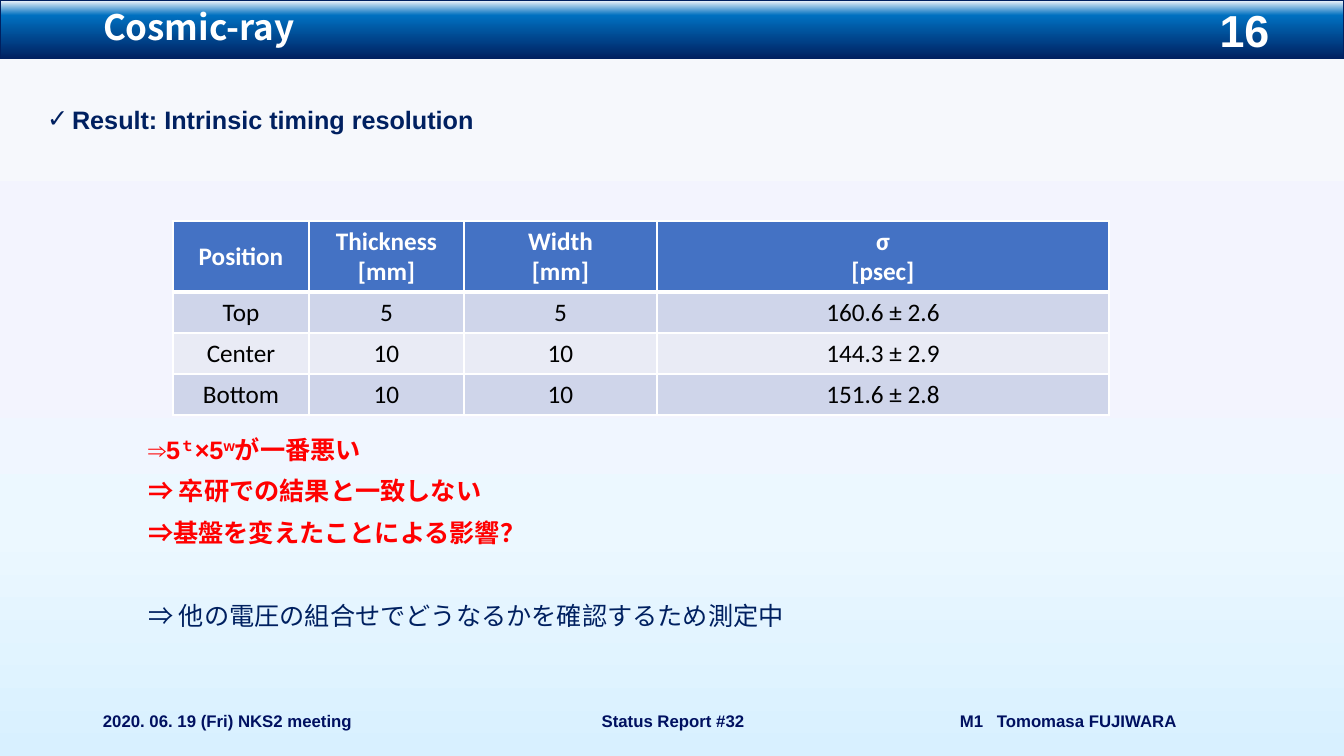
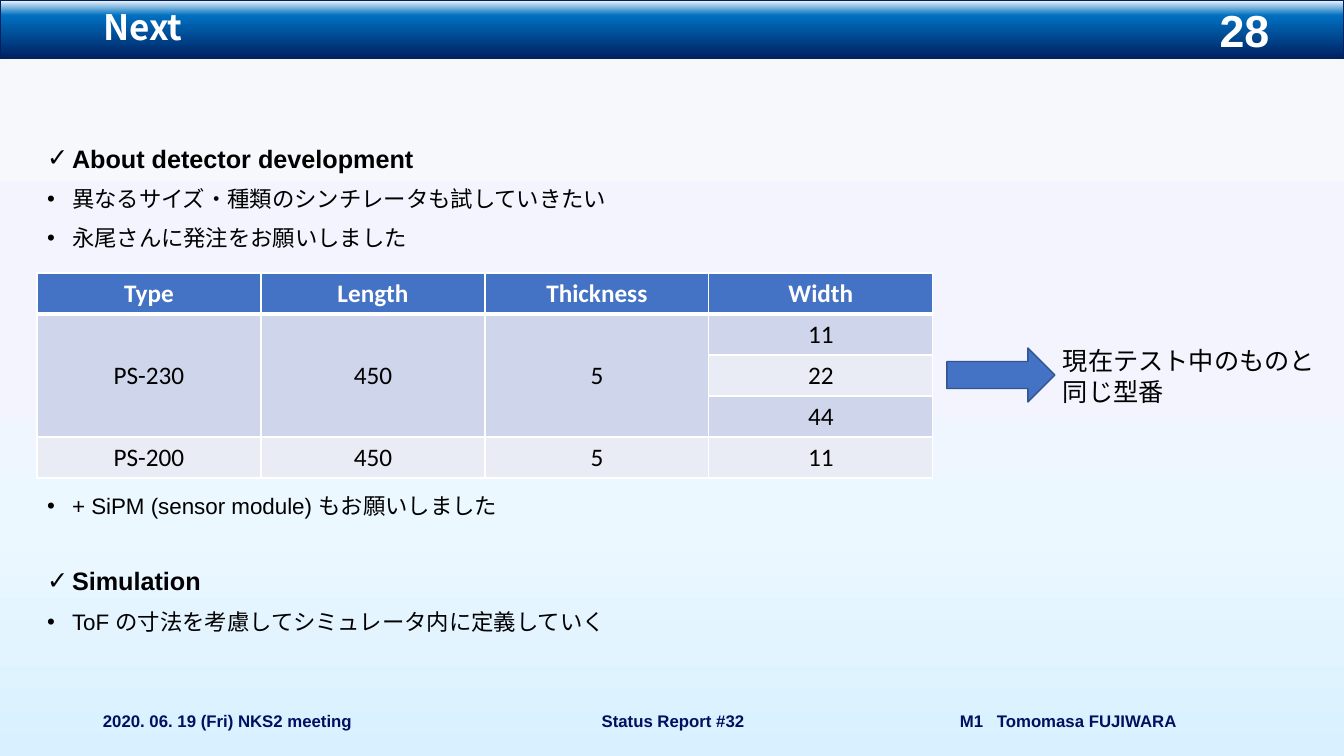
from lxml.etree import SubElement
from pptx import Presentation
from pptx.enum.shapes import MSO_SHAPE
from pptx.enum.text import MSO_ANCHOR, MSO_AUTO_SIZE, PP_ALIGN
from pptx.dml.color import RGBColor
from pptx.oxml.ns import qn
from pptx.util import Pt

PX = 9072  # EMU in one px
NAVY, FOOTER_BLUE, RED, BLACK, WHITE = "002060", "001060", "FF0000", "000000", "FFFFFF"
BLUE, BLUE_EDGE, BANDS = "4472C4", "325491", ("CFD5EA", "E9EBF5")
CJK = "Noto Sans CJK JP"


def paint(fill, *stops):
    """One hex string gives a solid fill; (percent, hex) pairs a vertical gradient."""
    if isinstance(stops[0], str):
        fill.solid()
        fill.fore_color.rgb = RGBColor.from_string(stops[0])
        return
    fill.gradient()
    fill.gradient_angle = 270
    stop_list = fill.gradient_stops[0]._gs.getparent()
    for old in list(stop_list):
        stop_list.remove(old)
    for percent, colour in stops:
        stop = SubElement(stop_list, qn("a:gs"), pos=str(percent * 1000))
        SubElement(stop, qn("a:srgbClr"), val=colour)


def add_run(paragraph, text, size, colour, bold=False, face="Arial", raised=False):
    run = paragraph.add_run()
    run.text = text
    run.font.size, run.font.bold, run.font.name = Pt(size), bold, face
    paint(run.font.fill, colour)
    properties = run.font._element
    SubElement(properties, qn("a:ea"), typeface=CJK)
    if raised:
        properties.set("baseline", "30000")


prs = Presentation()
prs.slide_width, prs.slide_height = 1344 * PX, 756 * PX
paint(prs.slide_master.background.fill,
      (0, "F6F8FC"), (48, "F3F4FE"), (70, "ECF8FF"), (100, "D8F0FF"))

# Shared layout: title place, band and footers
layout = prs.slide_layouts[1]
for holder in list(layout.placeholders):
    if holder.placeholder_format.idx >= 10:
        holder.element.getparent().remove(holder.element)
title_place = layout.placeholders[0]
title_place.left, title_place.top = 93 * PX, 0
title_place.width, title_place.height = 1159 * PX, 59 * PX

cosmic = prs.slides.add_slide(layout)
plans = prs.slides.add_slide(layout)

band = cosmic.shapes.add_shape(MSO_SHAPE.RECTANGLE, 0, 0, 1344 * PX, 59 * PX)
band.shadow.inherit = False
paint(band.fill, (0, "F6F8FC"), (26, "0070C0"), (100, NAVY))
paint(band.line.fill, NAVY)
band.line.width = Pt(0.75)
shared = [band]
for left, width, text, align in [
    (93, 302, "2020. 06. 19 (Fri) NKS2 meeting", PP_ALIGN.LEFT),
    (446, 454, "Status Report #32", PP_ALIGN.CENTER),
    (950, 302, "M1\tTomomasa FUJIWARA", PP_ALIGN.LEFT),
]:
    footer = cosmic.shapes.add_textbox(left * PX, 701 * PX, width * PX, 40 * PX)
    footer.text_frame.word_wrap = True
    footer.text_frame.vertical_anchor = MSO_ANCHOR.MIDDLE
    line = footer.text_frame.paragraphs[0]
    line.alignment = align
    if "\t" in text:
        tabs = SubElement(line._p.get_or_add_pPr(), qn("a:tabLst"))
        SubElement(tabs, qn("a:tab"), pos=str(37 * PX), algn="l")
    add_run(line, text, 12, FOOTER_BLUE, True)
    shared.append(footer)
# The band lies behind the title place, the footers follow it
for position, part in enumerate(shared, 2):
    layout.shapes.element.insert(position, part.element)

# Body lines: bullet, space before, size, colour, bold, text pieces (^ = raised)
cosmic_lines = [
    ("✓", 0, 18, NAVY, True, ["Result: Intrinsic timing resolution"]),
    (None, 216, 18, RED, True, ["⇒5", "^ｔ", "×5", "^w", "が一番悪い"]),
    (None, 9.5, 18, RED, True, ["⇒ 卒研での結果と一致しない"]),
    (None, 9.5, 18, RED, True, ["⇒基盤を変えたことによる影響？"]),
    (None, 39.5, 18, NAVY, False, ["⇒ 他の電圧の組合せでどうなるかを確認するため測定中"]),
]
plans_lines = [
    ("✓", 0, 18, BLACK, True, ["About detector development"]),
    ("•", 10, 16, BLACK, False, ["異なるサイズ・種類のシンチレータも試していきたい"]),
    ("•", 10, 16, BLACK, False, ["永尾さんに発注をお願いしました"]),
    ("•", 173, 16, BLACK, False, ["+ SiPM (sensor module) もお願いしました"]),
    ("✓", 35, 18, BLACK, True, ["Simulation"]),
    ("•", 10, 16, BLACK, False, ["ToF の寸法を考慮してシミュレータ内に定義していく"]),
]

# Title, page number and body of each slide
for slide, heading, page, body_top, lines in [
    (cosmic, "Cosmic-ray", "16", 101, cosmic_lines),
    (plans, "Next", "28", 140, plans_lines),
]:
    title = slide.shapes.title.text_frame
    title.auto_size = MSO_AUTO_SIZE.NONE
    title.vertical_anchor = MSO_ANCHOR.MIDDLE
    title.paragraphs[0].alignment = PP_ALIGN.LEFT
    title.paragraphs[0].line_spacing = 0.9
    add_run(title.paragraphs[0], heading, 25, WHITE, True, CJK)

    number = slide.shapes.add_textbox(1145 * PX, 0, 199 * PX, 59 * PX).text_frame
    number.word_wrap = True
    number.vertical_anchor = MSO_ANCHOR.MIDDLE
    number.paragraphs[0].alignment = PP_ALIGN.CENTER
    add_run(number.paragraphs[0], page, 32, WHITE, True)

    body = slide.placeholders[1]
    body.left, body.top = 37 * PX, body_top * PX
    body.width, body.height = 1270 * PX, (687 - body_top) * PX
    body.text_frame.auto_size = MSO_AUTO_SIZE.NONE
    for index, (bullet, gap, size, colour, bold, pieces) in enumerate(lines):
        line = body.text_frame.add_paragraph() if index else body.text_frame.paragraphs[0]
        line.space_before, line.line_spacing = Pt(gap), Pt(size + 2)
        properties = line._p.get_or_add_pPr()
        properties.set("marL", str((25 if bullet else 101) * PX))
        properties.set("indent", str((-25 if bullet else 0) * PX))
        if bullet:
            SubElement(properties, qn("a:buFont"), typeface="Arial")
            SubElement(properties, qn("a:buChar"), char=bullet)
        else:
            SubElement(properties, qn("a:buNone"))
        for piece in pieces:
            add_run(line, piece.lstrip("^"), size, colour, bold, raised=piece.startswith("^"))

# Tables; None marks a cell merged into the one above
resolution_rows = [
    ("Position", "Thickness [mm]", "Width\n[mm]", "σ\n[psec]"),
    ("Top", "5", "5", "160.6 ± 2.6"),
    ("Center", "10", "10", "144.3 ± 2.9"),
    ("Bottom", "10", "10", "151.6 ± 2.8"),
]
order_rows = [
    ("Type", "Length", "Thickness", "Width"),
    ("PS-230", "450", "5", "11"),
    (None, None, None, "22"),
    (None, None, None, "44"),
    ("PS-200", "450", "5", "11"),
]
for slide, left, top, widths, header_height, rows in [
    (cosmic, 173, 221, (136, 155, 193, 452), 71, resolution_rows),
    (plans, 37, 273, (224,) * 4, 41, order_rows),
]:
    heights = [header_height] + [41] * (len(rows) - 1)
    table = slide.shapes.add_table(len(rows), len(widths), left * PX, top * PX,
                                   sum(widths) * PX, sum(heights) * PX).table
    for column, width in zip(table.columns, widths):
        column.width = width * PX
    for r, values in enumerate(rows):
        table.rows[r].height = heights[r] * PX
        for c, value in enumerate(values):
            cell = table.cell(r, c)
            cell.vertical_anchor = MSO_ANCHOR.MIDDLE
            paint(cell.fill, BANDS[(r - 1) % 2] if r else BLUE)
            for position, side in enumerate(("lnL", "lnR", "lnT", "lnB")):
                thick = (r, side) in ((0, "lnB"), (1, "lnT"))
                properties = cell._tc.get_or_add_tcPr()
                border = SubElement(properties, qn("a:" + side), w=str(Pt(3 if thick else 1)))
                ink = SubElement(border, qn("a:solidFill"))
                SubElement(ink, qn("a:srgbClr"), val=WHITE)
                properties.insert(position, border)
            if value is None:
                continue
            for index, text in enumerate(value.split("\n")):
                line = cell.text_frame.add_paragraph() if index else cell.text_frame.paragraphs[0]
                line.alignment = PP_ALIGN.CENTER
                add_run(line, text, 18, BLACK if r else WHITE, r == 0, "Calibri")
    if slide is plans:
        for c in range(3):
            table.cell(1, c).merge(table.cell(3, c))

# Arrow and remark beside the order table
arrow = plans.shapes.add_shape(MSO_SHAPE.RIGHT_ARROW, 947 * PX, 348 * PX, 108 * PX, 54 * PX)
arrow.shadow.inherit = False
paint(arrow.fill, BLUE)
paint(arrow.line.fill, BLUE_EDGE)
arrow.line.width = Pt(1)
remark = plans.shapes.add_textbox(1053 * PX, 341 * PX, 277 * PX, 72 * PX).text_frame
remark.word_wrap = True
remark.paragraphs[0].line_spacing = Pt(21.5)
add_run(remark.paragraphs[0], "現在テスト中のものと同じ型番", 18, BLACK, face="Calibri")

prs.save("out.pptx")
